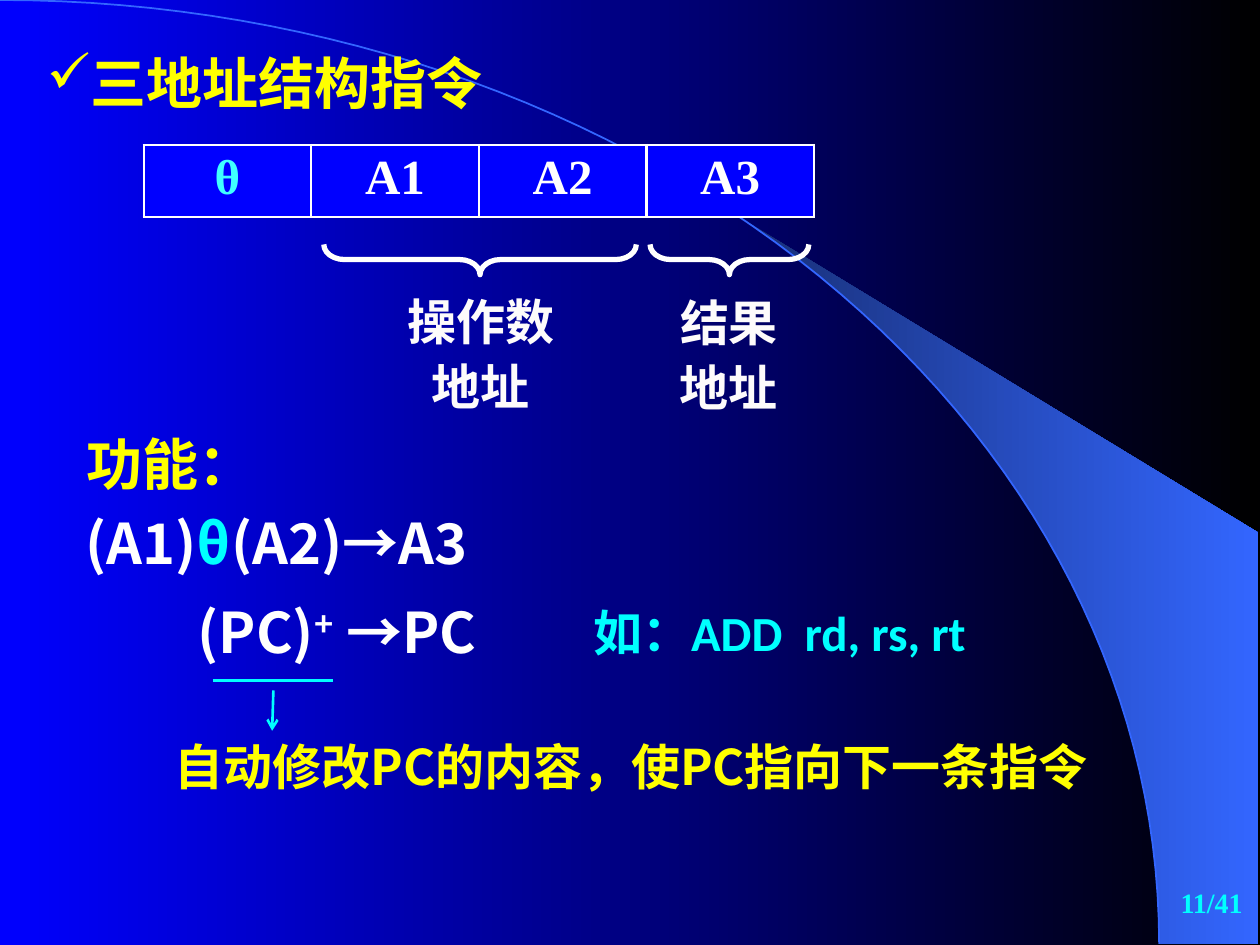
import math

from lxml import etree
from pptx import Presentation
from pptx.dml.color import RGBColor
from pptx.enum import shapes, text
from pptx.oxml import ns
from pptx.util import Inches, Pt

SANS, SERIF, LATIN = "Noto Sans CJK SC", "Times New Roman", "Calibri"
YELLOW, CYAN, WHITE, OFF_WHITE = "FFFF00", "00FFFF", "FFFFFF", "FDFBFB"
BLUE, ARC_BLUE = "0000FF", "3366FF"
LEFT, CENTER, RIGHT = text.PP_ALIGN.LEFT, text.PP_ALIGN.CENTER, text.PP_ALIGN.RIGHT

TITLE = "三地址结构指令"
FIELDS = [("θ", "40FFFF"), ("A1", WHITE), ("A2", WHITE), ("A3", WHITE)]
FIELD_WIDTH, FIELD_HEIGHT = 1.33, 0.57

# left, top, width, height of each brace before its quarter turn
BRACES = [(3.69, 0.82, 0.24, 2.48), (5.67, 1.43, 0.24, 1.26)]

# box, size, font, alignment, line spacing, runs of (text, colour, is superscript)
TEXTS = [
    ((2.99, 2.22, 1.65, 1.13), 28, SANS, CENTER, 1.1, [("操作数地址", OFF_WHITE, False)]),
    ((5.16, 2.23, 1.25, 1.13), 28, SANS, CENTER, 1.1, [("结果地址", OFF_WHITE, False)]),
    ((0.59, 3.36, 1.67, 0.64), 32, SERIF, LEFT, 1.0, [("功能：", YELLOW, False)]),
    ((0.58, 3.99, 3.86, 0.64), 32, SANS, LEFT, 1.0,
     [("(A1)", WHITE, False), ("θ", CYAN, False), ("(A2)→A3", WHITE, False)]),
    ((1.47, 4.69, 3.02, 0.64), 32, SANS, LEFT, 1.0,
     [("(PC)", WHITE, False), ("+", WHITE, True), (" →PC", WHITE, False)]),
    ((1.29, 5.8, 7.77, 0.57), 28, SANS, LEFT, 1.0,
     [("自动修改PC的内容，使PC指向下一条指令", YELLOW, False)]),
    ((4.61, 4.82, 4.25, 0.48), 28, LATIN, LEFT, 0.8, [("如：ADD  rd, rs, rt", CYAN, False)]),
    ((7.88, 6.98, 2.08, 0.44), 16, SERIF, RIGHT, 1.0, [("11/41", CYAN, False)]),
]

# start, end, has arrowhead
PC_MARKS = [((1.69, 5.4), (2.64, 5.4), False), ((2.17, 5.48), (2.16, 5.8), True)]

ARC_WIDTH, ARC_HEIGHT = 9.2, 7.49
BEAM_TIP_X, BEAM_RIGHT, BEAM_TOP = 5.89, 9.99, 4.23


def color(hex_code):
    return RGBColor.from_string(hex_code)


def inches(values):
    return [Inches(value) for value in values]


def add_xml(parent, tag, **attributes):
    return etree.SubElement(parent, ns.qn(tag), **attributes)


def shade(fill, start, end):
    """Fill with a left-to-right gradient."""
    fill.gradient()
    fill.gradient_angle = 0
    for stop, hex_code in zip(fill.gradient_stops, (start, end)):
        stop.color.rgb = color(hex_code)


def style_run(run, size, font, hex_code, superscript=False):
    run.font.size, run.font.name, run.font.bold = Pt(size), font, True
    run.font.color.rgb = color(hex_code)
    add_xml(run.font._element, "a:ea", typeface=SANS)
    if superscript:
        run.font._element.set("baseline", "30000")


def arc_points(start_angle, steps=60):
    """Points on the quarter ellipse, from start_angle to its right end."""
    step = (math.pi / 2 - start_angle) / steps
    angles = [start_angle + step * i for i in range(steps + 1)]
    return [(ARC_WIDTH * math.sin(a), ARC_HEIGHT * (1 - math.cos(a))) for a in angles]


def add_outline(slide, points, close):
    start, *rest = [inches(point) for point in points]
    builder = slide.shapes.build_freeform(*start)
    builder.add_line_segments(rest, close=close)
    outline = builder.convert_to_shape()
    outline.shadow.inherit = False
    return outline


def add_backdrop(slide):
    shade(slide.background.fill, BLUE, "000000")
    edge = arc_points(math.asin(BEAM_TIP_X / ARC_WIDTH))
    beam = add_outline(slide, edge + [(BEAM_RIGHT, ARC_HEIGHT), (BEAM_RIGHT, BEAM_TOP)], True)
    shade(beam.fill, "182F76", ARC_BLUE)
    beam.line.fill.background()
    arc = add_outline(slide, arc_points(0), False)
    arc.fill.background()
    arc.line.color.rgb, arc.line.width = color(ARC_BLUE), Pt(1)


def add_title(slide):
    title = slide.shapes.title
    slide.shapes._spTree.append(title._element)  # in front of the backdrop
    title.left, title.top, title.width, title.height = inches((0.27, 0.28, 5.42, 0.69))
    frame = title.text_frame
    frame.text = TITLE
    frame.vertical_anchor = text.MSO_ANCHOR.TOP
    frame.auto_size = text.MSO_AUTO_SIZE.NONE
    paragraph = frame.paragraphs[0]
    paragraph.alignment, paragraph.line_spacing = LEFT, 1.1
    properties = paragraph._p.get_or_add_pPr()
    properties.set("marL", "0")
    properties.set("indent", "0")
    add_xml(add_xml(properties, "a:buClr"), "a:srgbClr", val=YELLOW)
    add_xml(properties, "a:buChar", char="✓")
    style_run(paragraph.runs[0], 32, SANS, YELLOW)


def add_field_table(slide):
    size = (FIELD_WIDTH * len(FIELDS), FIELD_HEIGHT)
    table = slide.shapes.add_table(1, len(FIELDS), *inches((1.14, 1.15) + size)).table
    for cell, (field, hex_code) in zip(table.iter_cells(), FIELDS):
        cell.text_frame.text = field
        paragraph = cell.text_frame.paragraphs[0]
        paragraph.alignment = CENTER
        style_run(paragraph.runs[0], 28, SERIF, hex_code)
        properties = cell._tc.get_or_add_tcPr()
        for side in ("a:lnL", "a:lnR", "a:lnT", "a:lnB"):
            border = add_xml(properties, side, w=str(Pt(1.47)))
            add_xml(add_xml(border, "a:solidFill"), "a:srgbClr", val=WHITE)
        cell.fill.solid()
        cell.fill.fore_color.rgb = color(BLUE)


def add_brace(slide, box):
    brace = slide.shapes.add_shape(shapes.MSO_SHAPE.LEFT_BRACE, *inches(box))
    brace.rotation = 270
    brace.adjustments[0] = 0.68
    brace.shadow.inherit = False
    brace.fill.background()
    brace.line.color.rgb, brace.line.width = color(WHITE), Pt(3)


def add_text(slide, box, size, font, alignment, spacing, runs):
    frame = slide.shapes.add_textbox(*inches(box)).text_frame
    frame.word_wrap = True
    paragraph = frame.paragraphs[0]
    paragraph.alignment, paragraph.line_spacing = alignment, spacing
    for content, hex_code, superscript in runs:
        run = paragraph.add_run()
        run.text = content
        style_run(run, size, font, hex_code, superscript)


def add_mark(slide, start, end, has_arrow):
    mark = slide.shapes.add_connector(shapes.MSO_CONNECTOR.STRAIGHT, *inches(start + end))
    mark.line.color.rgb, mark.line.width = color(CYAN), Pt(1.5)
    if has_arrow:
        add_xml(mark.line._get_or_add_ln(), "a:tailEnd", type="arrow")
    add_xml(mark._element.spPr, "a:effectLst")


def main():
    deck = Presentation()
    deck.slide_width, deck.slide_height = inches((10, 7.5))
    slide = deck.slides.add_slide(deck.slide_layouts.get_by_name("Title Only"))
    add_backdrop(slide)
    add_title(slide)
    add_field_table(slide)
    for box in BRACES:
        add_brace(slide, box)
    for entry in TEXTS:
        add_text(slide, *entry)
    for mark in PC_MARKS:
        add_mark(slide, *mark)
    deck.save("out.pptx")


if __name__ == "__main__":
    main()
